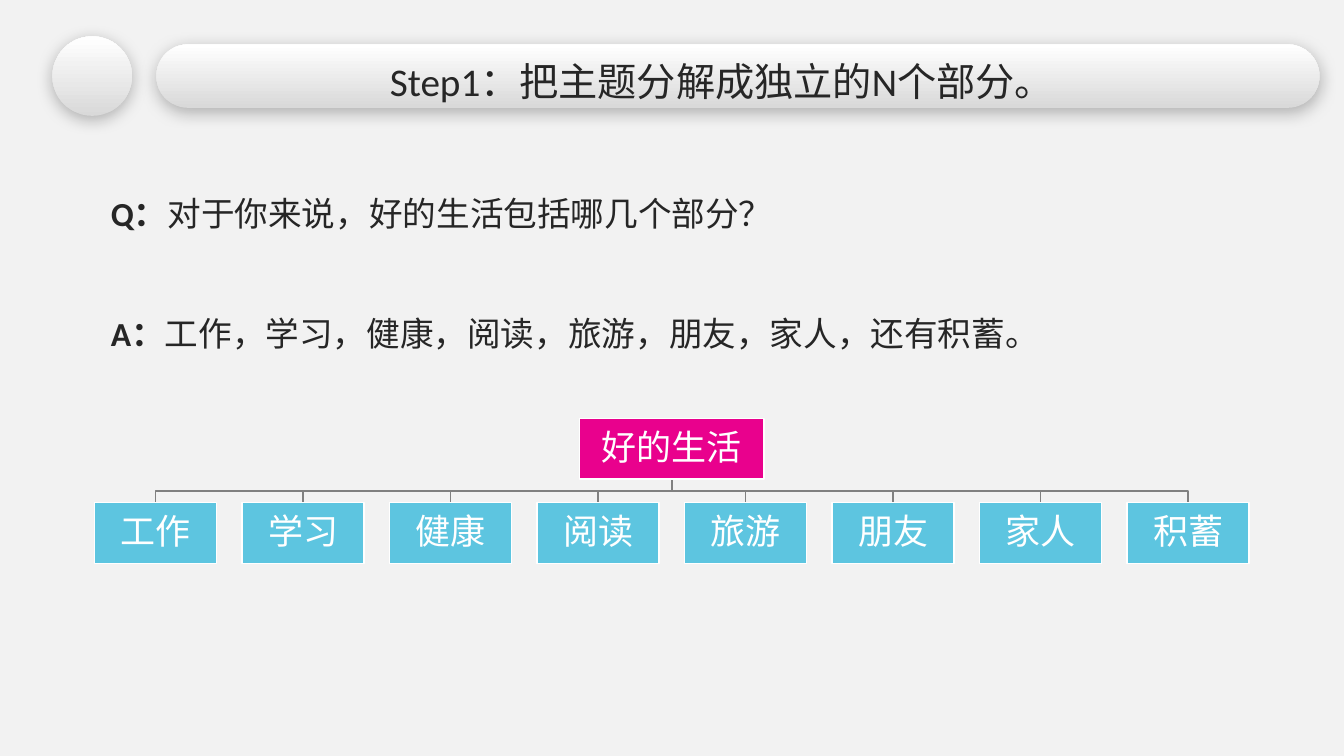
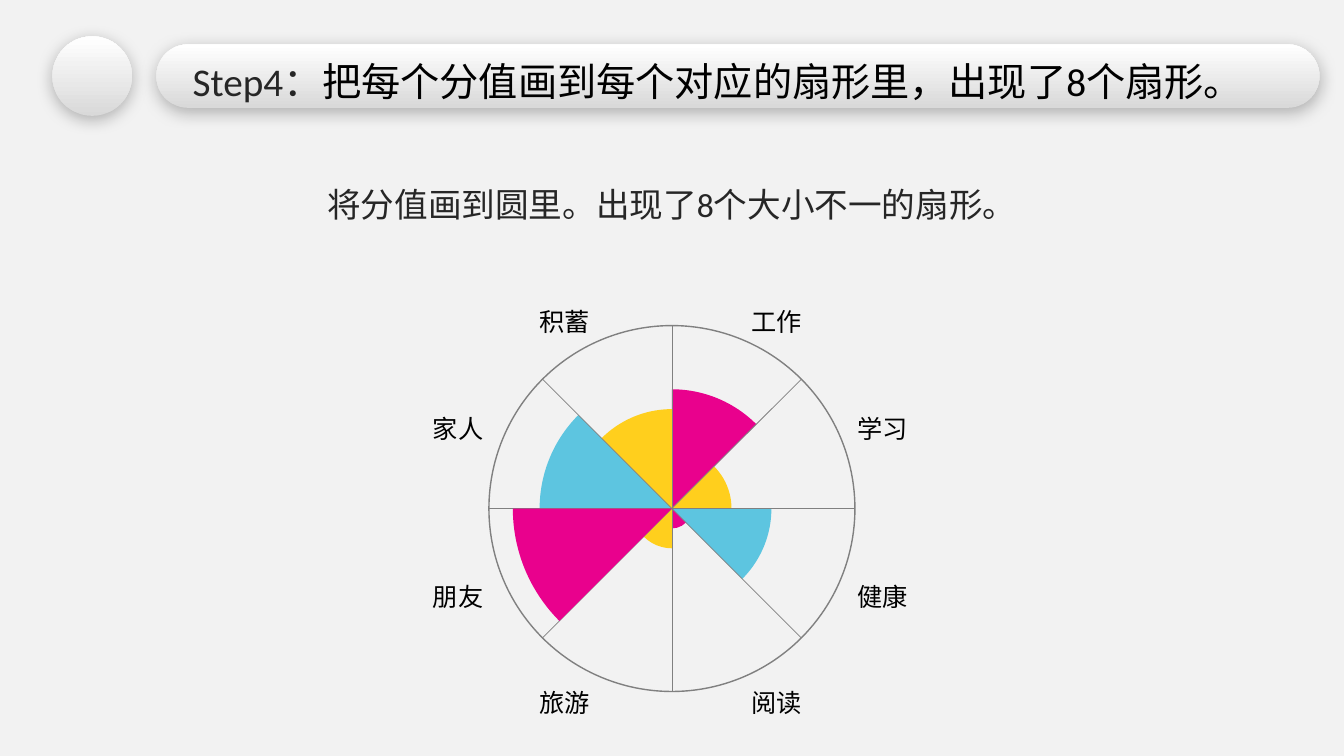
import math
from dataclasses import dataclass

from lxml import etree
from pptx import Presentation, util as u
from pptx.dml.color import RGBColor
from pptx.enum import shapes, text
from pptx.oxml import ns, parse_xml

COLORS = {
    "background": "F2F2F2", "ink": "262626", "black": "000000",
    "white": "FFFFFF", "silver": "D9D9D9", "line": "808080",
    "pink": "E9018D", "blue": "5DC5E0", "yellow": "FFCF1D",
}
FONT = "Calibri"
SHADOW = (
    f'<a:effectLst {ns.nsdecls("a")}><a:outerShdw blurRad="152400" dist="38100" '
    'dir="5400000" algn="t" rotWithShape="0"><a:srgbClr val="000000">'
    '<a:alpha val="27000"/></a:srgbClr></a:outerShdw></a:effectLst>'
)
PARTS = ["工作", "学习", "健康", "阅读", "旅游", "朋友", "家人", "积蓄"]
SCORES = [6, 3, 5, 1, 2, 8, 6.65, 5]
FULL_SCORE = 9.2
SLICE_COLORS = ["pink", "yellow", "blue", "pink", "yellow", "pink", "blue", "yellow"]
FRONT_SLICE = PARTS.index("朋友")


@dataclass
class Box:
    """A rectangle that can be divided by percentages."""
    left: float
    top: float
    width: float
    height: float

    def inner(self, left, top, width, height):
        """Return an inner box given in percent of this one."""
        return Box(self.left + self.width * left / 100, self.top + self.height * top / 100,
                   self.width * width / 100, self.height * height / 100)

    def bounds(self):
        """Return the four lengths as whole units."""
        return [u.Emu(round(value)) for value in (self.left, self.top, self.width, self.height)]

    def center(self):
        """Return the middle point."""
        return self.left + self.width / 2, self.top + self.height / 2


def around(x, y, width, height):
    """Return a box centred on a point."""
    return Box(x - width / 2, y - height / 2, width, height)


def color(name):
    """Look up a named colour."""
    return RGBColor.from_string(COLORS[name])


def add_run(paragraph, words, size, ink="ink", bold=False):
    """Add one formatted run."""
    run = paragraph.add_run()
    run.text = words
    run.font.name, run.font.size, run.font.bold = FONT, u.Pt(size), bold
    run.font.color.rgb = color(ink)


def place(shape, box):
    """Move a shape into a box."""
    shape.left, shape.top, shape.width, shape.height = box.bounds()


def paint(shape, fill=None, line=None):
    """Give a shape a flat fill and outline without shadow."""
    shape.shadow.inherit = False
    if fill:
        shape.fill.solid()
        shape.fill.fore_color.rgb = color(fill)
    else:
        shape.fill.background()
    if line:
        shape.line.color.rgb = color(line)
        shape.line.width = u.Pt(1)
    else:
        shape.line.fill.background()


def add_plain_shape(slide, kind, box, fill=None, line=None):
    """Add a flat preset shape with an optional fill and outline."""
    shape = slide.shapes.add_shape(kind, *box.bounds())
    paint(shape, fill, line)
    return shape


def add_raised_shape(slide, kind, box):
    """Add a silver shape with a soft shadow behind the title."""
    shape = slide.shapes.add_shape(kind, *box.bounds())
    shape.fill.gradient()
    shape.fill.gradient_angle = 90
    for stop, name in zip(shape.fill.gradient_stops, ("silver", "white")):
        stop.color.rgb = color(name)
    shape.line.fill.background()
    shape.element.spPr.append(parse_xml(SHADOW))
    slide.shapes.title.element.addprevious(shape.element)
    return shape


def add_header(slide, page, title_box, runs, alignment):
    """Build the disc, the band and the title."""
    band = add_raised_shape(slide, shapes.MSO_SHAPE.ROUNDED_RECTANGLE,
                            page.inner(11.63, 5.87, 86.55, 8.4))
    band.adjustments[0] = 0.5
    add_raised_shape(slide, shapes.MSO_SHAPE.OVAL, page.inner(3.9, 4.8, 5.93, 10.53))
    title = slide.shapes.title
    place(title, title_box)
    frame = title.text_frame
    frame.word_wrap = False
    frame.auto_size = text.MSO_AUTO_SIZE.SHAPE_TO_FIT_TEXT
    frame.vertical_anchor = text.MSO_ANCHOR.TOP
    paragraph = frame.paragraphs[0]
    paragraph.alignment = alignment
    for words, ink in runs:
        add_run(paragraph, words, 28, ink)


def add_body(slide, box, lines, spacing, alignment, gap=0):
    """Fill the body placeholder with unbulleted lines of (words, bold) runs."""
    body = slide.placeholders[1]
    place(body, box)
    frame = body.text_frame
    frame.word_wrap = True
    frame.auto_size = text.MSO_AUTO_SIZE.SHAPE_TO_FIT_TEXT
    for index, runs in enumerate(lines):
        paragraph = frame.add_paragraph() if index else frame.paragraphs[0]
        properties = paragraph._p.get_or_add_pPr()
        properties.set("marL", "0")
        properties.set("indent", "0")
        etree.SubElement(properties, ns.qn("a:buNone"))
        paragraph.alignment = alignment
        paragraph.line_spacing = spacing
        paragraph.space_before = u.Pt(gap if index else 0)
        for words, bold in runs:
            add_run(paragraph, words, 24, bold=bold)


def add_tree_node(slide, box, words, fill):
    """Add one labelled node of the tree."""
    node = add_plain_shape(slide, shapes.MSO_SHAPE.RECTANGLE, box, fill, "white")
    frame = node.text_frame
    frame.margin_left = frame.margin_right = u.Inches(0.02)
    frame.margin_top = frame.margin_bottom = u.Inches(0.02)
    frame.vertical_anchor = text.MSO_ANCHOR.MIDDLE
    paragraph = frame.paragraphs[0]
    paragraph.alignment = text.PP_ALIGN.CENTER
    paragraph.line_spacing = 0.9
    add_run(paragraph, words, 25, "white")


def add_tree(slide, box, root_words, leaf_words):
    """Build a root node above an even row of leaves."""
    node_height, gap_share = 42, 0.21
    count = len(leaf_words)
    leaf_width = 100 / (count + (count - 1) * gap_share)
    leaves = [box.inner(index * leaf_width * (1 + gap_share), 100 - node_height,
                        leaf_width, node_height) for index in range(count)]
    root = box.inner(42, 0, 16, node_height)
    root_x, root_bottom = root.center()[0], root.top + root.height
    for leaf in leaves:
        leaf_x = leaf.center()[0]
        middle = (root_bottom + leaf.top) / 2
        builder = slide.shapes.build_freeform(round(root_x), round(root_bottom))
        corners = [(root_x, middle), (leaf_x, middle), (leaf_x, leaf.top)]
        builder.add_line_segments([(round(x), round(y)) for x, y in corners], close=False)
        paint(builder.convert_to_shape(), line="line")
    add_tree_node(slide, root, root_words, "pink")
    for leaf, words in zip(leaves, leaf_words):
        add_tree_node(slide, leaf, words, "blue")


def add_slice(slide, box, index):
    """Add the sector whose radius follows its score."""
    size = box.width * SCORES[index] / FULL_SCORE
    sector = add_plain_shape(slide, shapes.MSO_SHAPE.PIE,
                             around(*box.center(), size, size), SLICE_COLORS[index])
    step = 360 / len(PARTS)
    start = (270 + index * step) % 360
    sector.adjustments[0] = start * 0.6
    sector.adjustments[1] = (start + step) % 360 * 0.6


def add_spoke(slide, box, angle):
    """Add one full diameter of the wheel."""
    x, y = box.center()
    across = math.cos(angle) * box.width / 2
    down = math.sin(angle) * box.height / 2
    ends = [round(value) for value in (x - across, y - down, x + across, y + down)]
    spoke = slide.shapes.add_connector(shapes.MSO_CONNECTOR.STRAIGHT, *ends)
    spoke.line.color.rgb = color("line")
    spoke.line.width = u.Pt(0.5)
    etree.SubElement(spoke.element.spPr, ns.qn("a:effectLst"))


def add_wheel_label(slide, box, index):
    """Add the name beside a sector, mirrored across both axes."""
    across, down = (0.29, 0.52) if index % 4 in (0, 3) else (0.58, 0.23)
    side = 1 if index < 4 else -1
    level = 1 if 2 <= index <= 5 else -1
    x, y = box.center()
    label_box = around(x + side * across * box.width, y + (level * down + 0.01) * box.height,
                       box.width * 0.2, box.height * 0.11)
    label = slide.shapes.add_textbox(*label_box.bounds())
    label.text_frame.word_wrap = False
    label.text_frame.auto_size = text.MSO_AUTO_SIZE.SHAPE_TO_FIT_TEXT
    add_run(label.text_frame.paragraphs[0], PARTS[index], 18, "black")


def add_wheel(slide, box):
    """Build the scored sectors, the ring, its spokes and the names."""
    for index in range(len(PARTS)):
        if index != FRONT_SLICE:
            add_slice(slide, box, index)
    add_plain_shape(slide, shapes.MSO_SHAPE.OVAL, box, line="line")
    for turn in range(4):
        add_spoke(slide, box, turn * math.pi / 4)
    add_slice(slide, box, FRONT_SLICE)
    for index in range(len(PARTS)):
        add_wheel_label(slide, box, index)


def build_parts_slide(slide, page):
    """Build the slide that splits the topic into parts."""
    add_header(slide, page, page.inner(27.98, 6.93, 51.45, 7.6),
               [("Step1：把主题分解成独立的N个部分。", "ink")], text.PP_ALIGN.CENTER)
    add_body(slide, page.inner(7.5, 22.13, 85.35, 24.67), [
        [("Q：", True), ("对于你来说，好的生活包括哪几个部分？", False)],
        [("A：", True), ("工作，学习，健康，阅读，旅游，朋友，家人，还有积蓄。", False)],
    ], 1.5, text.PP_ALIGN.LEFT, gap=43)
    add_tree(slide, page.inner(7.05, 55.33, 85.88, 19.2), "好的生活", PARTS)


def build_wheel_slide(slide, page):
    """Build the slide that draws the scores as sectors."""
    add_header(slide, page, page.inner(13.58, 6.93, 80.55, 7.6),
               [("Step4：", "ink"), ("把每个分值画到每个对应的扇形里，出现了8个扇形。", "black")],
               text.PP_ALIGN.LEFT)
    add_body(slide, page.inner(10.35, 22.53, 79.28, 7.87),
             [[("将分值画到圆里。出现了8个大小不一的扇形。", False)]],
             1.2, text.PP_ALIGN.CENTER)
    add_wheel(slide, page.inner(36.38, 43.07, 27.23, 48.4))


def main():
    """Build and save the presentation."""
    presentation = Presentation()
    presentation.slide_width, presentation.slide_height = u.Inches(13.33), u.Inches(7.5)
    background = presentation.slide_master.background.fill
    background.solid()
    background.fore_color.rgb = color("background")
    page = Box(0, 0, presentation.slide_width, presentation.slide_height)
    for build in (build_parts_slide, build_wheel_slide):
        build(presentation.slides.add_slide(presentation.slide_layouts[1]), page)
    presentation.save("out.pptx")


if __name__ == "__main__":
    main()
